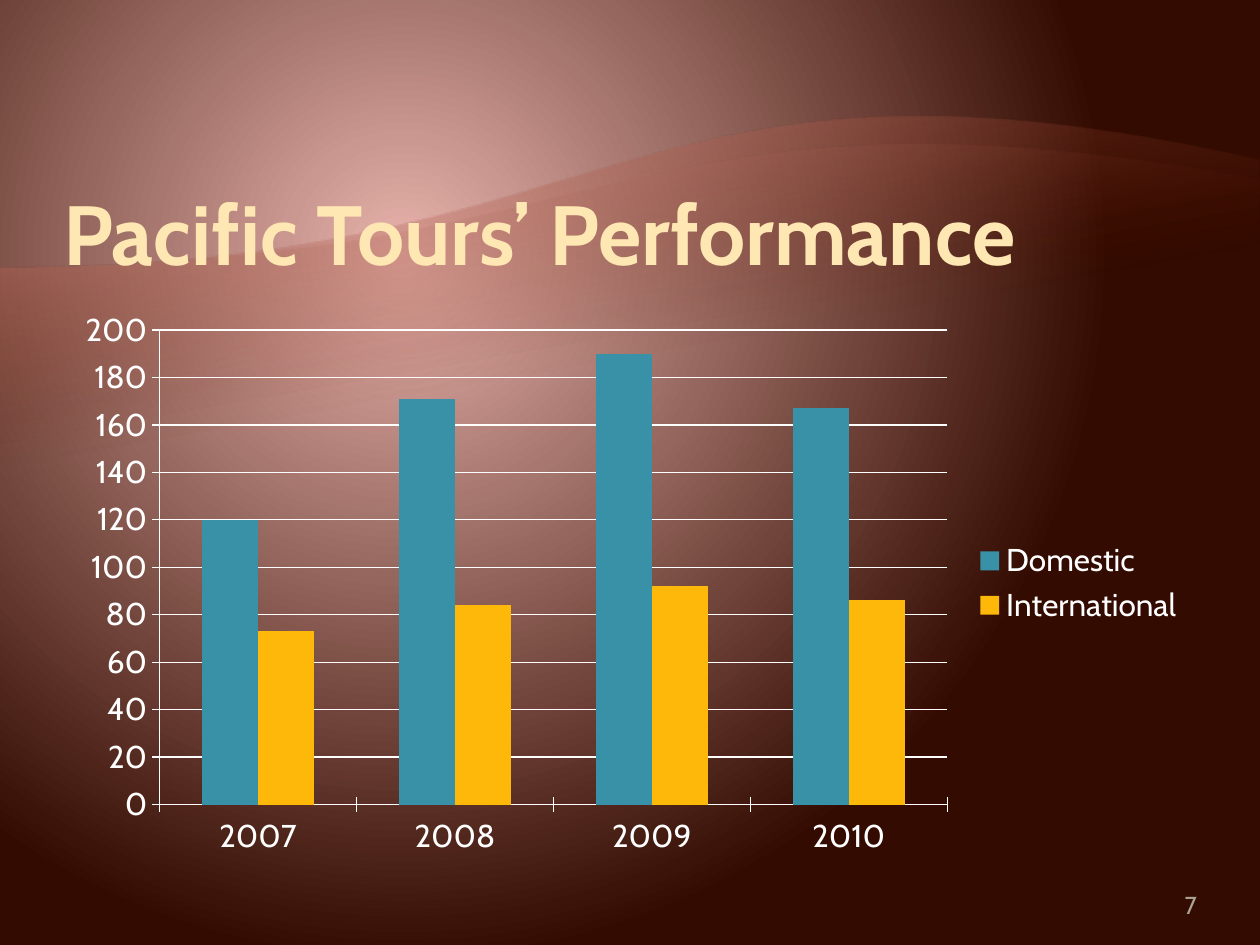
from dataclasses import dataclass

from lxml.etree import SubElement
from pptx import Presentation
from pptx.chart.data import CategoryChartData
from pptx.dml.color import RGBColor
from pptx.enum.chart import XL_CHART_TYPE, XL_LEGEND_POSITION, XL_TICK_MARK
from pptx.enum.shapes import MSO_SHAPE
from pptx.enum.text import MSO_ANCHOR, PP_ALIGN
from pptx.oxml import parse_xml
from pptx.oxml.ns import nsdecls, qn
from pptx.util import Emu, Inches, Pt

WIDE, HIGH = Inches(10), Inches(7.5)
FACE = "Cabin"
HUES = {
    "glow": "E7AFA8", "rose": "E5B1AA", "dark": "330B00",
    "rust": "6B1700", "coral": "EB9084", "blush": "F0B4AC",
    "cream": "FEE7B2", "edge": "857651", "white": "FFFFFF",
    "teal": "3891A7", "gold": "FEB80A", "grey": "ABA495",
}
RADIAL = '<a:path path="circle"><a:fillToRect l="100000" t="100000" r="135000" b="145000"/></a:path>'
SLANT = '<a:lin ang="4800000" scaled="1"/>'


@dataclass
class Stop:
    """A gradient stop, with place and opacity in percent."""
    place: int
    hue: str
    alpha: int = 100


@dataclass
class Wave:
    """A band across the slide, with top and height as shares of it."""
    top: float
    high: float
    tint: Stop


@dataclass
class Series:
    """One set of columns in the chart."""
    name: str
    vals: tuple[int, ...]
    hue: str


WAVES = [
    Wave(0.112, 0.865, Stop(100, "coral", 55)),
    Wave(0.144, 0.704, Stop(100, "blush", 30)),
]
YEARS = ["2007", "2008", "2009", "2010"]
SALES = [
    Series("Domestic", (120, 171, 190, 167), "teal"),
    Series("International", (73, 84, 92, 86), "gold"),
]


def color(hue: str) -> RGBColor:
    """Look up a named colour."""
    return RGBColor.from_string(HUES[hue])


def place(left: float, top: float, wide: float, high: float) -> tuple[Emu, ...]:
    """Turn shares of the slide into lengths."""
    return Emu(int(left * WIDE)), Emu(int(top * HIGH)), Emu(int(wide * WIDE)), Emu(int(high * HIGH))


def blend(host, stops: list[Stop], form: str) -> None:
    """Replace the solid fill in host with a gradient."""
    marks = "".join(
        f'<a:gs pos="{s.place * 1000}"><a:srgbClr val="{HUES[s.hue]}">'
        f'<a:alpha val="{s.alpha * 1000}"/></a:srgbClr></a:gs>' for s in stops)
    fill = parse_xml(f'<a:gradFill {nsdecls("a")} rotWithShape="1"><a:gsLst>{marks}</a:gsLst>{form}</a:gradFill>')
    host.replace(host.find(qn("a:solidFill")), fill)


def style(font, size: int, hue: str, bold: bool = False) -> None:
    """Set the face, size, weight and colour of a font."""
    font.name, font.size, font.bold = FACE, Pt(size), bold
    font.color.rgb = color(hue)


def frame(shape, left: float, edge: float, align: PP_ALIGN):
    """Set the insets of a text frame and return its first paragraph."""
    text = shape.text_frame
    text.word_wrap = True
    text.vertical_anchor = MSO_ANCHOR.BOTTOM
    text.margin_left, text.margin_right = Inches(left), 0
    text.margin_top = text.margin_bottom = Inches(edge)
    text.paragraphs[0].alignment = align
    return text.paragraphs[0]


def draw_wave(slide, wave: Wave) -> None:
    """Draw one upturned, half clear wave."""
    shape = slide.shapes.add_shape(MSO_SHAPE.FLOWCHART_DOCUMENT, *place(0, wave.top, 1, wave.high))
    shape.rotation = 180
    shape.shadow.inherit = False
    shape.line.fill.background()
    shape.fill.solid()
    blend(shape.fill._xPr, [Stop(65, "rust", 0), wave.tint], SLANT)


def draw_title(slide, words: str) -> None:
    """Fill the title and bring it in front of the waves."""
    title = slide.shapes.title
    title.left, title.top, title.width, title.height = place(0.05, 2 / 15, 0.9, 1 / 6)
    para = frame(title, 0, 0.01, PP_ALIGN.LEFT)
    para.text = words
    style(para.font, 48, "cream", True)
    line = para.font._element if hasattr(para.font, "_element") else para.font._rPr
    edge = SubElement(line, qn("a:ln"), w="500")
    SubElement(SubElement(edge, qn("a:solidFill")), qn("a:srgbClr"), val=HUES["edge"])
    line.insert(0, edge)
    slide.shapes._spTree.append(title._element)


def draw_chart(slide) -> None:
    """Draw the sales of each year as clustered columns."""
    data = CategoryChartData()
    data.categories = YEARS
    for item in SALES:
        data.add_series(item.name, item.vals)
    chart = slide.shapes.add_chart(
        XL_CHART_TYPE.COLUMN_CLUSTERED, *place(0.05, 0.317, 0.9, 0.6), data).chart
    style(chart.font, 18, "white")
    chart.has_title = False
    chart.has_legend = True
    chart.legend.position = XL_LEGEND_POSITION.RIGHT
    chart.legend.include_in_layout = False
    plot = chart.plots[0]
    plot.gap_width, plot.overlap = 150, 0
    plot.vary_by_categories = False
    for bars, item in zip(plot.series, SALES):
        bars.format.fill.solid()
        bars.format.fill.fore_color.rgb = color(item.hue)
    scale = chart.value_axis
    scale.minimum_scale, scale.maximum_scale, scale.major_unit = 0, 200, 20
    scale.has_major_gridlines = True
    for axis in (chart.category_axis, scale):
        axis.major_tick_mark = XL_TICK_MARK.CROSS
        axis.minor_tick_mark = XL_TICK_MARK.NONE
    for part in (chart.category_axis, scale, scale.major_gridlines):
        part.format.line.color.rgb = color("white")
        part.format.line.width = Pt(0.75)


def draw_page(slide, number: str) -> None:
    """Write the page number in the lower right corner."""
    para = frame(slide.shapes.add_textbox(*place(0.892, 0.927, 0.058, 0.053)), 0.1, 0.05, PP_ALIGN.RIGHT)
    para.text = number
    style(para.font, 14, "grey")


def main() -> None:
    """Build the slide and save it."""
    deck = Presentation()
    deck.slide_width, deck.slide_height = WIDE, HIGH
    slide = deck.slides.add_slide(deck.slide_layouts[5])
    back = slide.background.fill
    back.solid()
    blend(back._xPr, [Stop(0, "glow"), Stop(1, "rose"), Stop(90, "dark")], RADIAL)
    for wave in WAVES:
        draw_wave(slide, wave)
    draw_title(slide, "Pacific Tours’ Performance")
    draw_chart(slide)
    draw_page(slide, "7")
    deck.save("out.pptx")


if __name__ == "__main__":
    main()
